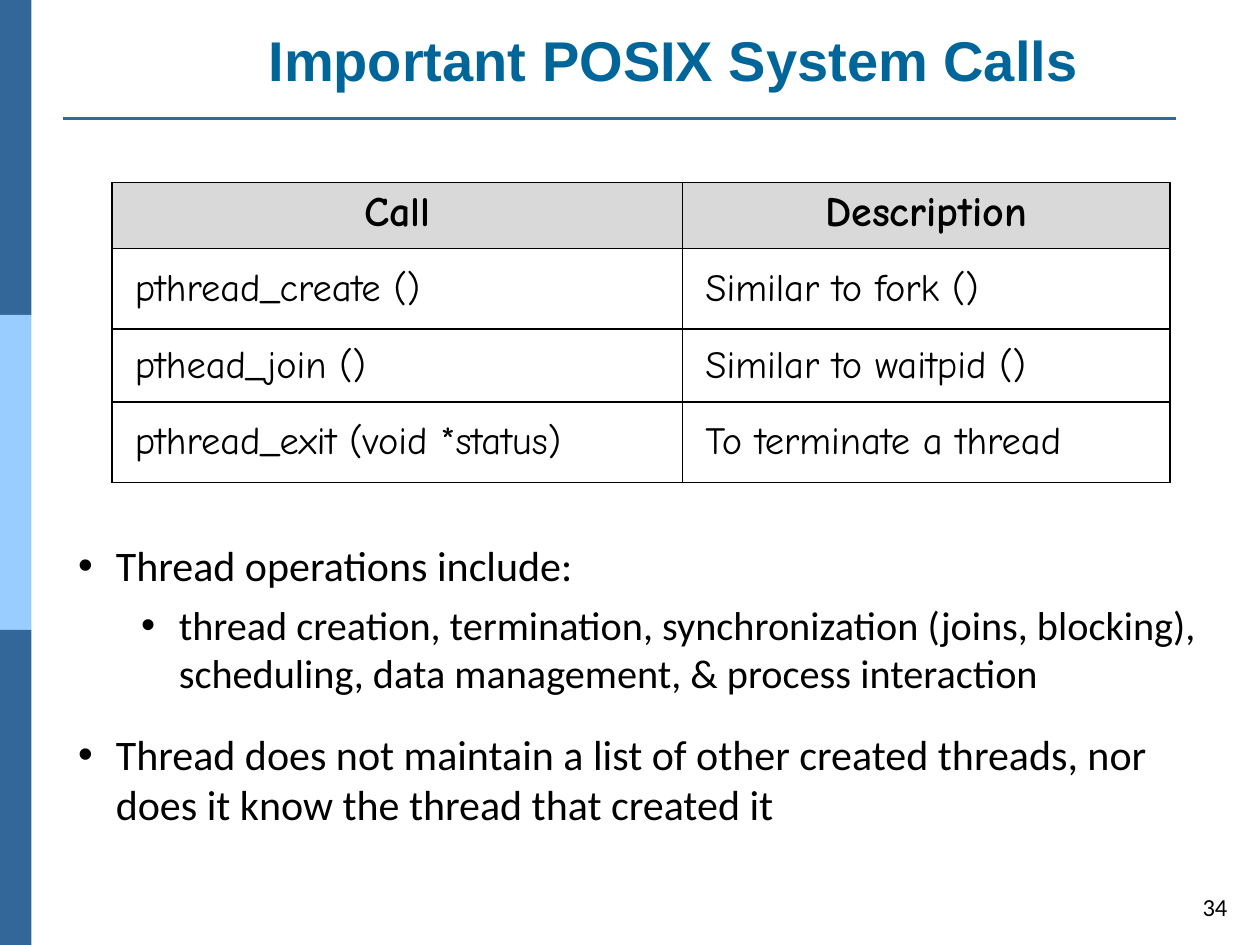
"""Builds the slide on important POSIX system calls."""
from lxml import etree
from pptx import Presentation
from pptx.dml.color import RGBColor
from pptx.enum.shapes import MSO_CONNECTOR, MSO_SHAPE
from pptx.enum.text import MSO_ANCHOR, MSO_AUTO_SIZE, PP_ALIGN
from pptx.oxml import parse_xml
from pptx.oxml.ns import nsdecls, qn
from pptx.util import Pt

RECT = MSO_SHAPE.RECTANGLE
STRAIGHT = MSO_CONNECTOR.STRAIGHT
LEFT, CENTER, RIGHT = PP_ALIGN.LEFT, PP_ALIGN.CENTER, PP_ALIGN.RIGHT
TOP, MIDDLE, BOTTOM = MSO_ANCHOR.TOP, MSO_ANCHOR.MIDDLE, MSO_ANCHOR.BOTTOM
NO_FIT = MSO_AUTO_SIZE.NONE

BLACK = RGBColor(0x00, 0x00, 0x00)
DARK_BLUE = RGBColor(0x33, 0x66, 0x99)
LIGHT_BLUE = RGBColor(0x99, 0xCC, 0xFF)
TITLE_BLUE = RGBColor(0x00, 0x66, 0x99)
HEADER_GRAY = RGBColor(0xD9, 0xD9, 0xD9)

FORMATS = {
    "title": {"name": "Arial", "size": Pt(32), "bold": True},
    "header": {"name": "Comic Neue", "size": Pt(24), "bold": True},
    "cell": {"name": "Comic Neue", "size": Pt(22), "bold": False},
    "bullet": {"name": "Calibri", "size": Pt(24)},
    "sub": {"name": "Calibri", "size": Pt(23)},
    "number": {"name": "Calibri", "size": Pt(14)},
}
INDENTS = {0: 21.6, 1: 57.6}
HANGING = 21.6

CALLS = [
    ("Call", "Description"),
    ("pthread_create ()", "Similar to fork ()"),
    ("pthead_join ()", "Similar to waitpid ()"),
    ("pthread_exit (void *status)", "To terminate a thread"),
]
POINTS = [
    (0, 0, "bullet", "Thread operations include:"),
    (1, 6, "sub", "thread creation, termination, synchronization (joins, blocking), "
                  "scheduling, data management, & process interaction"),
    (0, 18, "bullet", "Thread does not maintain a list of other created threads, "
                      "nor does it know the thread that created it"),
]


class SlideBuilder:
    """Holds the style and the current slide."""

    def __init__(self, prs):
        self.s = prs.slides.add_slide(prs.slide_layouts[1])

    def place(self, sp, x, y, w, h):
        sp.left, sp.top, sp.width, sp.height = Pt(x), Pt(y), Pt(w), Pt(h)

    def text(self, p, text, style, color=BLACK, align=LEFT):
        p.alignment = align
        r = p.add_run()
        r.text = text
        for key, value in FORMATS[style].items():
            setattr(r.font, key, value)
        r.font.color.rgb = color

    def frame(self, sp, anchor):
        tf = sp.text_frame
        for key, value in {"word_wrap": True, "auto_size": NO_FIT,
                           "vertical_anchor": anchor}.items():
            setattr(tf, key, value)
        return tf

    def bar(self, x, y, w, h, color):
        sp = self.s.shapes.add_shape(RECT, Pt(x), Pt(y), Pt(w), Pt(h))
        sp.shadow.inherit = False
        sp.fill.solid()
        sp.fill.fore_color.rgb = color
        sp.line.fill.background()

    def rule(self, x1, y1, x2, y2, color, width):
        line = self.s.shapes.add_connector(STRAIGHT, Pt(x1), Pt(y1), Pt(x2), Pt(y2))
        line.line.color.rgb = color
        line.line.width = Pt(width)
        etree.SubElement(line._element.spPr, qn("a:effectLst"))

    def title(self, text, *box):
        sp = self.s.shapes.title
        self.place(sp, *box)
        tf = self.frame(sp, BOTTOM)
        self.text(tf.paragraphs[0], text, "title", TITLE_BLUE, CENTER)

    def bullets(self, points, *box):
        sp = self.s.placeholders[1]
        self.place(sp, *box)
        tf = self.frame(sp, TOP)
        for i, (level, before, style, text) in enumerate(points):
            p = tf.add_paragraph() if i else tf.paragraphs[0]
            p.level = level
            pPr = p._p.get_or_add_pPr()
            pPr.set("marL", str(Pt(INDENTS[level])))
            pPr.set("indent", str(-Pt(HANGING)))
            etree.SubElement(pPr, qn("a:buFont")).set("typeface", "Arial")
            etree.SubElement(pPr, qn("a:buChar")).set("char", "•")
            p.space_before = Pt(before)
            self.text(p, text, style)

    def borders(self, cell):
        tcPr = cell._tc.get_or_add_tcPr()
        for i, side in enumerate(("lnL", "lnR", "lnT", "lnB")):
            tcPr.insert(i, parse_xml(
                f'<a:{side} {nsdecls("a")} w="{Pt(1)}"><a:solidFill>'
                f'<a:srgbClr val="{BLACK}"/></a:solidFill></a:{side}>'))

    def table(self, rows, x, y, widths, heights):
        table = self.s.shapes.add_table(
            len(rows), len(widths), Pt(x), Pt(y), Pt(sum(widths)), Pt(sum(heights))).table
        table.first_row = table.horz_banding = False
        for column, width in zip(table.columns, widths):
            column.width = Pt(width)
        for i, (row, height) in enumerate(zip(rows, heights)):
            table.rows[i].height = Pt(height)
            for j, text in enumerate(row):
                cell = table.cell(i, j)
                self.borders(cell)
                p = cell.text_frame.paragraphs[0]
                if i == 0:
                    cell.fill.solid()
                    cell.fill.fore_color.rgb = HEADER_GRAY
                    self.text(p, text, "header", align=CENTER)
                else:
                    cell.fill.background()
                    cell.vertical_anchor = MIDDLE
                    cell.margin_left = Pt(13)
                    self.text(p, text, "cell")

    def number(self, text, *box):
        sp = self.s.shapes.add_textbox(*map(Pt, box))
        tf = self.frame(sp, MIDDLE)
        self.text(tf.paragraphs[0], text, "number", align=RIGHT)


def main():
    prs = Presentation()
    prs.slide_width, prs.slide_height = Pt(720), Pt(540)
    b = SlideBuilder(prs)
    for i, color in enumerate((DARK_BLUE, LIGHT_BLUE, DARK_BLUE)):
        b.bar(0, 180 * i, 18, 180, color)
    b.rule(36, 67.7, 672, 67.7, DARK_BLUE, 1.5)
    b.table(CALLS, 64.1, 104.4, (326, 278.4), (37.6, 46, 41.8, 46))
    b.title("Important POSIX System Calls", 74.2, 13.7, 621.4, 43.2)
    b.bullets(POINTS, 37.4, 304.6, 663.8, 174.2)
    b.number("34", 676.1, 503.3, 32.4, 29.5)
    prs.save("out.pptx")


if __name__ == "__main__":
    main()
